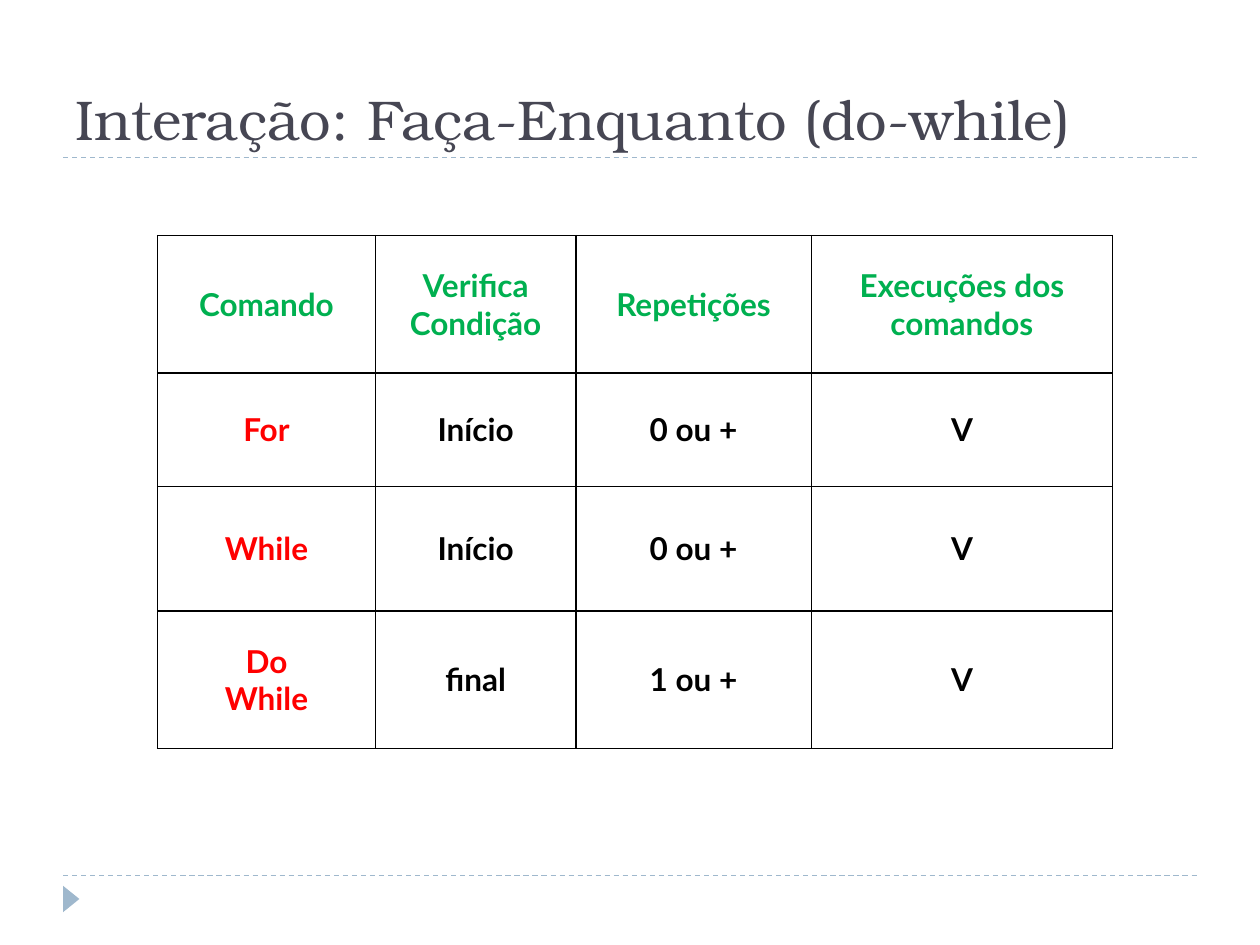
from lxml import etree
from pptx import Presentation
from pptx.dml.color import RGBColor
from pptx.enum import dml, shapes, text
from pptx.oxml import ns
from pptx.util import Inches, Pt

TITLE = "Interação: Faça-Enquanto (do-while)"
ROWS = [
    ["Comando", "Verifica\nCondição", "Repetições", "Execuções dos comandos"],
    ["For", "Início", "0 ou +", "V"],
    ["While", "Início", "0 ou +", "V"],
    ["Do\nWhile", "final", "1 ou +", "V"],
]
WIDTHS = [1.73, 1.59, 1.87, 2.39]
HEIGHTS = [1.09, 0.9, 0.99, 1.09]
RULES = [1.25, 6.95]
BLUE, DARK, GREEN, RED, BLACK = "9FB8CD", "464653", "00B050", "FF0000", "000000"


def color(code):
    return RGBColor.from_string(code)


def style(para, face, size, code, bold=False):
    font = para.font
    font.name, font.size, font.bold = face, Pt(size), bold
    font.color.rgb = color(code)


def border(cell):
    props = cell._tc.get_or_add_tcPr()
    for side in "LRTB":
        line = etree.SubElement(props, ns.qn(f"a:ln{side}"), w=str(Pt(1)))
        fill = etree.SubElement(line, ns.qn("a:solidFill"))
        etree.SubElement(fill, ns.qn("a:srgbClr"), val=BLACK)


def add_rule(slide, y):
    rule = slide.shapes.add_connector(
        shapes.MSO_CONNECTOR.STRAIGHT, Inches(0.5), Inches(y), Inches(9.5), Inches(y))
    rule.line.color.rgb = color(BLUE)
    rule.line.width = Pt(0.75)
    rule.line.dash_style = dml.MSO_LINE.DASH
    etree.SubElement(rule._element.spPr, ns.qn("a:effectLst"))


def add_mark(slide):
    mark = slide.shapes.add_shape(
        shapes.MSO_SHAPE.ISOSCELES_TRIANGLE,
        Inches(0.46), Inches(7.07), Inches(0.21), Inches(0.13))
    mark.rotation = 90
    mark.shadow.inherit = False
    mark.fill.solid()
    mark.fill.fore_color.rgb = color(BLUE)
    mark.line.fill.background()


def add_title(slide):
    frame = slide.shapes.add_textbox(
        Inches(0.5), Inches(0.17), Inches(9), Inches(1.08)).text_frame
    frame.word_wrap = True
    frame.vertical_anchor = text.MSO_ANCHOR.BOTTOM
    frame.text = TITLE
    style(frame.paragraphs[0], "TeX Gyre Bonum", 32, DARK)


def add_grid(slide):
    grid = slide.shapes.add_table(
        len(ROWS), len(WIDTHS), Inches(1.25), Inches(1.87),
        Inches(sum(WIDTHS)), Inches(sum(HEIGHTS))).table
    grid.first_row = grid.horz_banding = False
    for col, width in zip(grid.columns, WIDTHS):
        col.width = Inches(width)
    for row, height in zip(grid.rows, HEIGHTS):
        row.height = Inches(height)
    for r, words in enumerate(ROWS):
        for c, word in enumerate(words):
            cell = grid.cell(r, c)
            border(cell)
            cell.fill.background()
            cell.vertical_anchor = text.MSO_ANCHOR.MIDDLE
            cell.text = word
            code = GREEN if r == 0 else RED if c == 0 else BLACK
            for para in cell.text_frame.paragraphs:
                para.alignment = text.PP_ALIGN.CENTER
                style(para, "Lato", 18, code, True)


def main():
    deck = Presentation()
    deck.slide_width, deck.slide_height = Inches(10), Inches(7.5)
    slide = deck.slides.add_slide(deck.slide_layouts[6])
    for y in RULES:
        add_rule(slide, y)
    add_mark(slide)
    add_title(slide)
    add_grid(slide)
    deck.save("out.pptx")


if __name__ == "__main__":
    main()
